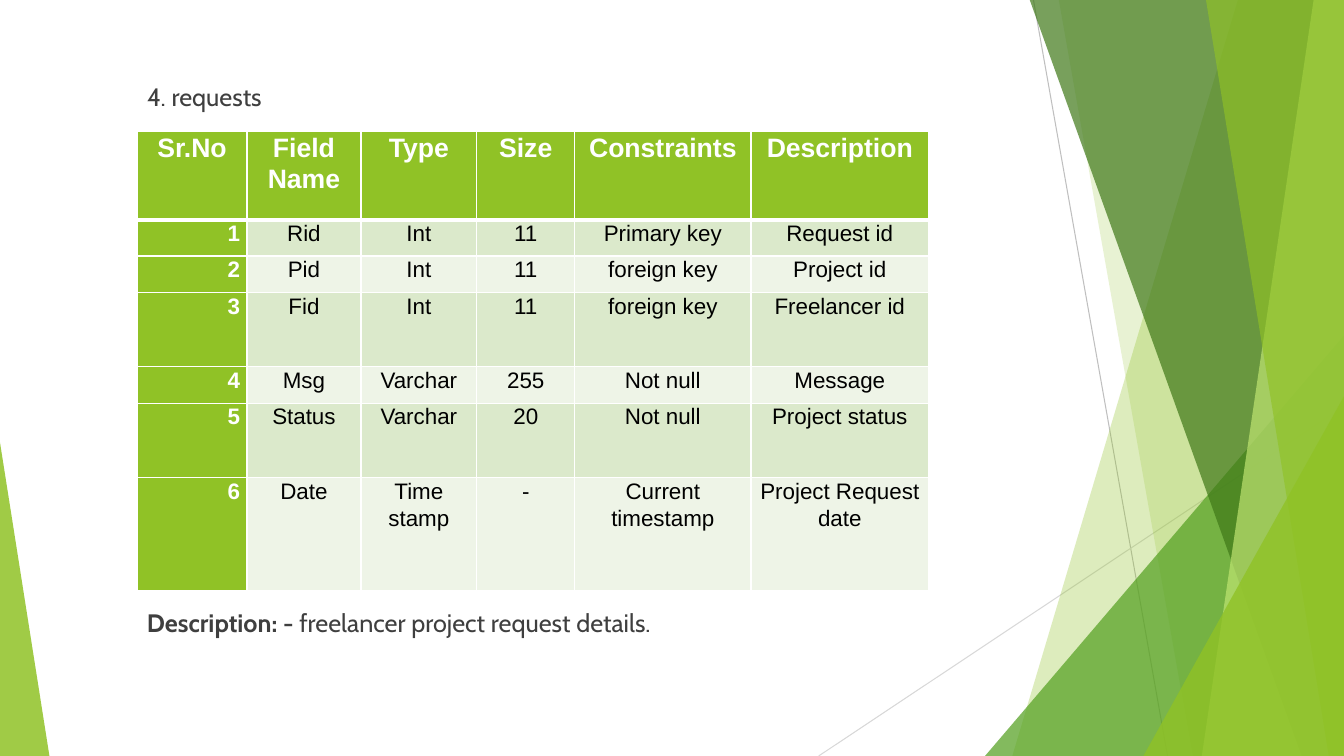
from lxml.etree import SubElement
from pptx import Presentation
from pptx.dml.color import RGBColor
from pptx.enum.shapes import MSO_CONNECTOR, MSO_SHAPE
from pptx.enum.text import PP_ALIGN
from pptx.oxml.ns import qn
from pptx.util import Inches, Pt

WIDTH, HEIGHT = 13.33, 7.5
PANEL_TOP = -0.01
GREEN, WHITE, BLACK, GREY = "90C226", "FFFFFF", "000000", "3F3F3F"
BANDS = ("DBE9CB", "EEF4E7")

HEADING = [("4. requests", False)]
SUMMARY = [("Description: -", True), (" freelancer project request details.", False)]
FIELDS = [
    ("Sr.No", "Field Name", "Type", "Size", "Constraints", "Description"),
    ("1", "Rid", "Int", "11", "Primary key", "Request id"),
    ("2", "Pid", "Int", "11", "foreign key", "Project id"),
    ("3", "Fid", "Int", "11", "foreign key", "Freelancer id"),
    ("4", "Msg", "Varchar", "255", "Not null", "Message"),
    ("5", "Status", "Varchar", "20", "Not null", "Project status"),
    ("6", "Date", "Time stamp", "-", "Current timestamp", "Project Request date"),
]
COLUMN_WIDTHS = (1.09, 1.13, 1.15, 0.97, 1.75, 1.76)
ROW_HEIGHTS = (0.88, 0.36, 0.36, 0.74, 0.36, 0.74, 1.12)

RAYS = [((10.25, 0), (11.58, HEIGHT), "BFBFBF"), ((WIDTH, 4.03), (8.12, HEIGHT), "D8D8D8")]
FACETS = [
    ("panel", (12.28, 10.04), GREEN, 30),
    ("panel", (10.5, 11.83), GREEN, 20),
    ("triangle", (9.77, 3.33, 3.56, 1), "54A021", 72),
    ("panel", (10.21, 12.91), "3F7818", 70),
    ("panel", (13.03, 11.92), "BFE471", 70),
    ("panel", (11.96, 13.18), GREEN, 65),
    ("triangle", (11.34, 3.93, 1.99, 1), GREEN, 80),
    ("triangle", (0, 4.39, 0.49, 0), GREEN, 85),
]


def paint(color_format, color):
    color_format.rgb = RGBColor.from_string(color)


def add_ray(shapes, start, end, color):
    ray = shapes.add_connector(
        MSO_CONNECTOR.STRAIGHT, *[Inches(value) for value in start + end])
    paint(ray.line.color, color)
    ray.line.width = Pt(0.75)
    SubElement(ray._element.spPr, qn("a:effectLst"))


def add_panel(shapes, top_x, bottom_x):
    outline = shapes.build_freeform(Inches(top_x), Inches(PANEL_TOP))
    corners = [(WIDTH, PANEL_TOP), (WIDTH, HEIGHT), (bottom_x, HEIGHT)]
    outline.add_line_segments([(Inches(x), Inches(y)) for x, y in corners], close=True)
    return outline.convert_to_shape()


def add_triangle(shapes, left, top, width, apex):
    triangle = shapes.add_shape(
        MSO_SHAPE.ISOSCELES_TRIANGLE,
        Inches(left), Inches(top), Inches(width), Inches(HEIGHT - top))
    triangle.adjustments[0] = apex
    return triangle


def add_facet(shapes, kind, geometry, color, opacity):
    build = add_panel if kind == "panel" else add_triangle
    facet = build(shapes, *geometry)
    facet.shadow.inherit = False
    facet.line.fill.background()
    facet.fill.solid()
    paint(facet.fill.fore_color, color)
    tint = facet._element.spPr.find(qn("a:solidFill"))[0]
    SubElement(tint, qn("a:alpha"), val=str(opacity * 1000))


def add_run(paragraph, words, font_name, size, color, bold):
    run = paragraph.add_run()
    run.text = words
    run.font.name = font_name
    run.font.size = Pt(size)
    run.font.bold = bold
    paint(run.font.color, color)


def add_line_of_text(shapes, top, width, height, runs):
    frame = shapes.add_textbox(
        Inches(1.36), Inches(top), Inches(width), Inches(height)).text_frame
    frame.word_wrap = True
    for words, bold in runs:
        add_run(frame.paragraphs[0], words, "Cabin", 18, GREY, bold)


def add_borders(cell, below, above):
    properties = cell._tc.get_or_add_tcPr()
    for side, points in (("L", 1), ("R", 1), ("T", above), ("B", below)):
        border = SubElement(properties, qn("a:ln" + side), w=str(Pt(points)))
        SubElement(SubElement(border, qn("a:solidFill")), qn("a:srgbClr"), val=WHITE)


def fill_cell(cell, words, row, column):
    header, numbered = row == 0, column == 0
    strong = header or numbered
    cell.margin_left = cell.margin_right = Inches(0.07)
    cell.margin_top = cell.margin_bottom = 0
    add_borders(cell, 3 if header else 1, 3 if row == 1 else 1)
    cell.fill.solid()
    paint(cell.fill.fore_color, GREEN if strong else BANDS[(row - 1) % 2])
    paragraph = cell.text_frame.paragraphs[0]
    paragraph.alignment = PP_ALIGN.RIGHT if numbered and not header else PP_ALIGN.CENTER
    paragraph.line_spacing = 1.07
    add_run(paragraph, words, "Arial", 19 if header else 16,
            WHITE if strong else BLACK, strong)


def add_fields(shapes):
    table = shapes.add_table(
        len(FIELDS), len(COLUMN_WIDTHS), Inches(1.36), Inches(1.3),
        Inches(sum(COLUMN_WIDTHS)), Inches(sum(ROW_HEIGHTS))).table
    for column, width in zip(table.columns, COLUMN_WIDTHS):
        column.width = Inches(width)
    for row, height in zip(table.rows, ROW_HEIGHTS):
        row.height = Inches(height)
    for row, field in enumerate(FIELDS):
        for column, words in enumerate(field):
            fill_cell(table.cell(row, column), words, row, column)


def main():
    deck = Presentation()
    deck.slide_width, deck.slide_height = Inches(WIDTH), Inches(HEIGHT)
    shapes = deck.slides.add_slide(deck.slide_layouts[6]).shapes
    for ray in RAYS:
        add_ray(shapes, *ray)
    for facet in FACETS:
        add_facet(shapes, *facet)
    add_line_of_text(shapes, 0.76, 8.78, 4.93, HEADING)
    add_line_of_text(shapes, 5.98, 7.47, 0.81, SUMMARY)
    add_fields(shapes)
    deck.save("out.pptx")


if __name__ == "__main__":
    main()
